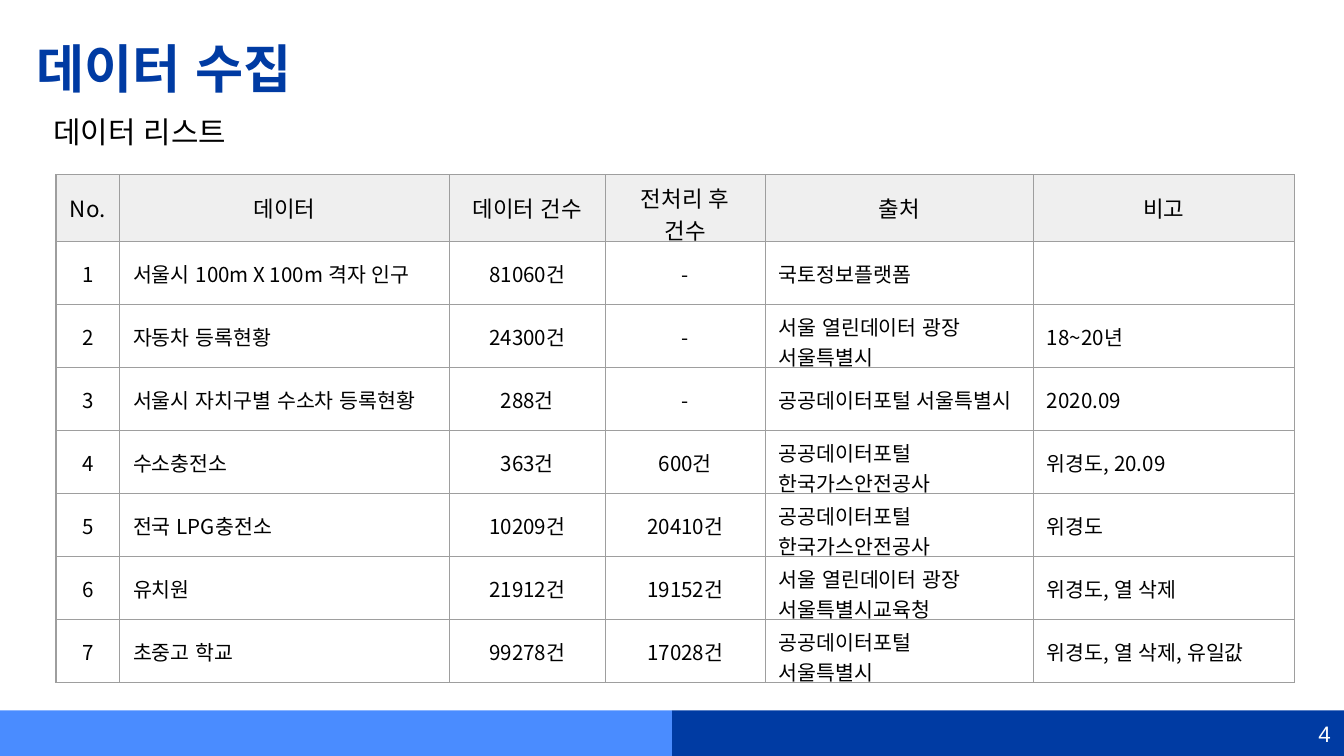
import pptx
import pptx.util
import pptx.dml.color
import pptx.enum.lang
import pptx.enum.shapes
import pptx.enum.text
import pptx.oxml
import pptx.oxml.ns
from dataclasses import dataclass

Cm = pptx.util.Cm
Pt = pptx.util.Pt
Align = pptx.enum.text.PP_ALIGN
Anchor = pptx.enum.text.MSO_ANCHOR


@dataclass(frozen=True)
class Theme:
    navy: str = "003BA3"
    blue: str = "4A8CFF"
    black: str = "000000"
    white: str = "FFFFFF"
    header_fill: str = "EFEFEF"
    border: str = "9E9E9E"
    korean: str = "Noto Sans CJK KR"
    latin: str = "Arial"
    title_size: int = 28
    subtitle_size: int = 16
    header_size: int = 12
    body_size: int = 11


THEME = Theme()

# Content
TITLE = "데이터 수집"
SUBTITLE = "데이터 리스트"
PAGE_NUMBER = "4"
HEADERS = ["No.", "데이터", "데이터 건수", "전처리 후 건수", "출처", "비고"]
ROWS = [
    ("서울시 100m X 100m 격자 인구", "81060건", "-", "국토정보플랫폼", ""),
    ("자동차 등록현황", "24300건", "-", "서울 열린데이터 광장\n서울특별시", "18~20년"),
    ("서울시 자치구별 수소차 등록현황", "288건", "-", "공공데이터포털 서울특별시", "2020.09"),
    ("수소충전소", "363건", "600건", "공공데이터포털\n한국가스안전공사", "위경도, 20.09"),
    ("전국 LPG충전소", "10209건", "20410건", "공공데이터포털\n한국가스안전공사", "위경도"),
    ("유치원", "21912건", "19152건", "서울 열린데이터 광장\n서울특별시교육청", "위경도, 열 삭제"),
    ("초중고 학교", "99278건", "17028건", "공공데이터포털\n서울특별시", "위경도, 열 삭제, 유일값"),
]

# Layout in centimetres
PAGE_WIDTH, PAGE_HEIGHT = 25.4, 14.29
BAR_HEIGHT = 0.86
TABLE_LEFT, TABLE_TOP = 1.06, 3.3
COLUMN_WIDTHS = [1.2, 6.23, 2.95, 3.02, 5.07, 4.93]
COLUMN_ALIGNS = [Align.CENTER, Align.LEFT, Align.CENTER, Align.CENTER, Align.LEFT, Align.LEFT]
HEADER_HEIGHT, ROW_HEIGHT = 1.26, 1.19


def color(value):
    return pptx.dml.color.RGBColor.from_string(value)


def write(frame, text, *, size, fill=THEME.black, font=THEME.korean, bold=False,
          align=Align.LEFT, margin=0, hanging=None):
    """Fill a text frame, one paragraph for each line of text."""
    frame.word_wrap = True
    for index, line in enumerate(text.split("\n")):
        para = frame.paragraphs[0] if index == 0 else frame.add_paragraph()
        para.alignment = align
        if hanging:
            properties = para._p.get_or_add_pPr()
            properties.set("marL", str(Cm(margin)))
            properties.set("indent", str(-Cm(hanging)))
        span = para.add_run()
        span.text = line
        span.font.language_id = pptx.enum.lang.MSO_LANGUAGE_ID.KOREAN
        span.font.size = Pt(size)
        span.font.bold = bold
        span.font.name = font
        span.font.color.rgb = color(fill)
        east_asian = pptx.oxml.parse_xml(
            f'<a:ea {pptx.oxml.ns.nsdecls("a")} typeface="{font}"/>')
        span.font._element.find(pptx.oxml.ns.qn("a:latin")).addnext(east_asian)


def add_text(page, text, left, top, width, height, *, inset=0.13, anchor=Anchor.TOP, **style):
    box = page.shapes.add_textbox(Cm(left), Cm(top), Cm(width), Cm(height))
    frame = box.text_frame
    frame.vertical_anchor = anchor
    frame.margin_top = frame.margin_bottom = Cm(inset)
    write(frame, text, **style)


def add_bar(page, left, fill):
    bar = page.shapes.add_shape(
        pptx.enum.shapes.MSO_SHAPE.RECTANGLE, Cm(left), Cm(PAGE_HEIGHT - BAR_HEIGHT),
        Cm(PAGE_WIDTH / 2), Cm(BAR_HEIGHT))
    bar.shadow.inherit = False
    bar.fill.solid()
    bar.fill.fore_color.rgb = color(fill)
    bar.line.fill.background()


def style_cell(cell, fill):
    cell.vertical_anchor = Anchor.MIDDLE
    properties = cell._tc.get_or_add_tcPr()
    for side in ("lnL", "lnR", "lnT", "lnB"):
        properties.append(pptx.oxml.parse_xml(
            f'<a:{side} {pptx.oxml.ns.nsdecls("a")} w="{Pt(0.75)}"><a:solidFill>'
            f'<a:srgbClr val="{THEME.border}"/></a:solidFill></a:{side}>'))
    if fill:
        cell.fill.solid()
        cell.fill.fore_color.rgb = color(fill)
    else:
        cell.fill.background()


def add_data_table(page):
    records = [HEADERS] + [(str(number), *row) for number, row in enumerate(ROWS, 1)]
    heights = [HEADER_HEIGHT] + [ROW_HEIGHT] * len(ROWS)
    table = page.shapes.add_table(
        len(records), len(HEADERS), Cm(TABLE_LEFT), Cm(TABLE_TOP),
        Cm(sum(COLUMN_WIDTHS)), Cm(sum(heights))).table
    table.horz_banding = False
    for column, width in zip(table.columns, COLUMN_WIDTHS):
        column.width = Cm(width)
    for row_index, (record, height) in enumerate(zip(records, heights)):
        is_header = row_index == 0
        table.rows[row_index].height = Cm(height)
        for column_index, text in enumerate(record):
            cell = table.cell(row_index, column_index)
            style_cell(cell, THEME.header_fill if is_header else None)
            write(cell.text_frame, text,
                  size=THEME.header_size if is_header else THEME.body_size,
                  align=Align.CENTER if is_header else COLUMN_ALIGNS[column_index])


def main():
    deck = pptx.Presentation()
    deck.slide_width, deck.slide_height = Cm(PAGE_WIDTH), Cm(PAGE_HEIGHT)
    page = deck.slides.add_slide(deck.slide_layouts[6])

    # Footer bars and page number
    add_bar(page, PAGE_WIDTH / 2, THEME.navy)
    add_bar(page, 0, THEME.blue)
    add_text(page, PAGE_NUMBER, 19.69, 13.49, 5.71, 0.76, anchor=Anchor.MIDDLE,
             size=THEME.header_size, fill=THEME.white, font=THEME.latin, align=Align.RIGHT)

    # Headings
    add_text(page, TITLE, 0.44, 0.43, 21.41, 1.6, inset=0.25,
             size=THEME.title_size, fill=THEME.navy, bold=True)
    add_text(page, SUBTITLE, 0.44, 2.01, 6.76, 0.94,
             size=THEME.subtitle_size, margin=1.27, hanging=0.95)

    # Data list
    add_data_table(page)
    deck.save("out.pptx")


if __name__ == "__main__":
    main()
